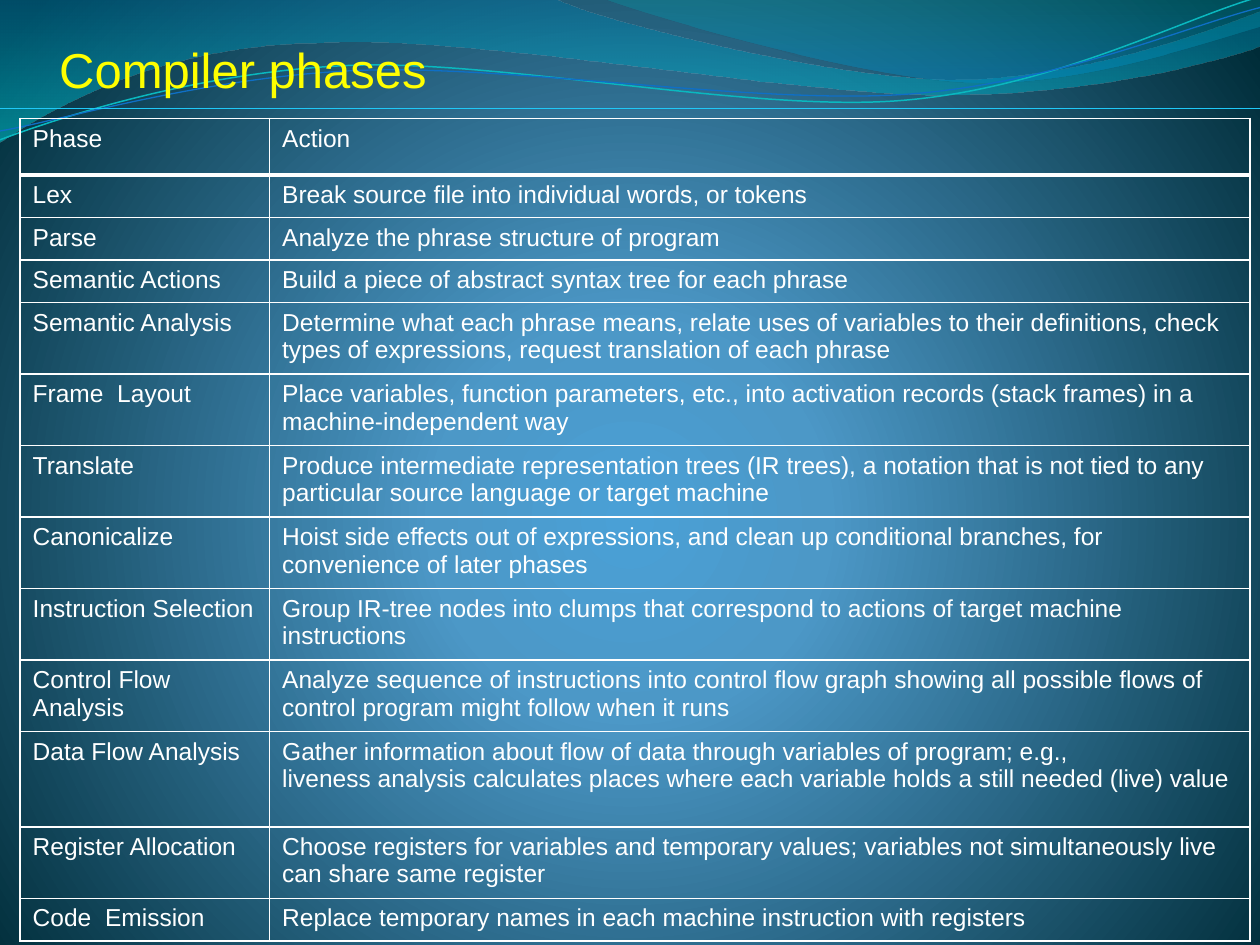
from lxml import etree
from pptx import Presentation
from pptx.dml.color import RGBColor
from pptx.enum.shapes import MSO_CONNECTOR
from pptx.enum.text import MSO_ANCHOR, PP_ALIGN
from pptx.oxml.ns import qn
from pptx.util import Inches, Pt

BOTTOM, TOP = MSO_ANCHOR.BOTTOM, MSO_ANCHOR.TOP
LEFT, JUSTIFY = PP_ALIGN.LEFT, PP_ALIGN.JUSTIFY
STRAIGHT = MSO_CONNECTOR.STRAIGHT
NS = 'xmlns:a="http://schemas.openxmlformats.org/drawingml/2006/main"'
DOWN = '<a:lin ang="5400000" scaled="0"/>'


def color(text):
    return RGBColor.from_string(text)


def grad(stops, shade):
    """Gradient fill from (position, colour, opacity) in percent."""
    marks = "".join(
        f'<a:gs pos="{pos * 1000}"><a:srgbClr val="{tone}">'
        f'<a:alpha val="{alpha * 1000}"/></a:srgbClr></a:gs>'
        for pos, tone, alpha in stops)
    return etree.fromstring(
        f'<a:gradFill {NS} rotWithShape="1"><a:gsLst>{marks}</a:gsLst>{shade}</a:gradFill>')


prs = Presentation()
prs.slide_width, prs.slide_height = Inches(10), Inches(7.5)
slide = prs.slides.add_slide(prs.slide_layouts[5])
shapes = slide.shapes

# Background
slide.background.fill.solid()
back = slide.element.find(".//" + qn("p:bgPr"))
back.replace(back[0], grad(
    [(0, "4AA0D6", 100), (25, "4C98C7", 100), (100, "002C38", 100)],
    '<a:path path="circle"><a:fillToRect l="10000" t="110000" r="10000" b="100000"/></a:path>'))

# Waves: start point, then straight (2 numbers) or curved (6 numbers) steps,
# then either gradient stops or a line colour and width
waves = [
    ((0, -0.01),
     [(4.4, -0.01), (4.76, 0.17, 6.64, 0.63, 7.58, 0.63),
      (8.53, 0.63, 9.58, 0.26, 10, 0.09), (10.01, 0.36),
      (9.83, 0.44, 8.7, 0.76, 7.46, 0.75), (6.22, 0.75, 3.82, 0.28, 2.57, 0.34),
      (1.29, 0.35, 0.46, 0.83, -0.01, 1.13), (0, -0.01)],
     [(0, "0074A1", 45), (100, "00C6CF", 55)], None),
    ((4.79, -0.01),
     [(5.09, 0.11, 6.82, 0.62, 7.69, 0.65), (8.56, 0.69, 9.61, 0.32, 10, 0.21),
      (10, 0), (4.79, -0.01)],
     [(0, "00A1A9", 30), (80, "008BBF", 45)], None),
    ((0, 1.11),
     [(0.48, 0.93, 1.58, 0.57, 2.77, 0.52), (3.95, 0.47, 5.93, 0.89, 7.13, 0.8),
      (8.33, 0.71, 9.38, 0.15, 9.98, -0.02)],
     None, ("0AB8BF", 0.85)),
    ((0, 1.04),
     [(0.47, 0.96, 1.64, 0.61, 2.83, 0.56), (4.03, 0.51, 5.97, 0.83, 7.17, 0.75),
      (8.36, 0.67, 9.41, 0.21, 10, 0.06)],
     None, ("0F6FC6", 0.75)),
]
for start, parts, stops, line in waves:
    dots = [(Inches(part[i]), Inches(part[i + 1]))
            for part in parts for i in range(0, len(part), 2)]
    pen = shapes.build_freeform(*map(Inches, start))
    pen.add_line_segments(dots, close=line is None)
    wave = pen.convert_to_shape()
    wave.shadow.inherit = False
    # Join each three points of a curved step into one Bezier curve
    steps = iter(list(wave.element.iter(qn("a:lnTo"))))
    for part in parts:
        group = [next(steps) for _ in range(len(part) // 2)]
        if len(group) == 3:
            curve = etree.Element(qn("a:cubicBezTo"))
            group[0].addprevious(curve)
            for step in group:
                curve.append(step[0])
                step.getparent().remove(step)
    wave.fill.background()
    if line:
        wave.line.color.rgb = color(line[0])
        wave.line.width = Pt(line[1])
    else:
        wave.line.fill.background()
        props = wave.element.spPr
        props.replace(props.find(qn("a:noFill")), grad(stops, DOWN))

# Table
rows = [
    ("Phase", "Action", 0.45),
    ("Lex", "Break source file into individual words, or tokens", 0.34),
    ("Parse", "Analyze the phrase structure of program", 0.34),
    ("Semantic Actions", "Build a piece of abstract syntax tree for each phrase", 0.34),
    ("Semantic Analysis", "Determine what each phrase means, relate uses of variables to their "
     "definitions, check types of expressions, request translation of each phrase", 0.57),
    ("Frame  Layout", "Place variables, function parameters, etc., into activation records "
     "(stack frames) in a machine-independent way", 0.57),
    ("Translate", "Produce intermediate representation trees (IR trees), a notation that is "
     "not tied to any particular source language or target machine", 0.57),
    ("Canonicalize", "Hoist side effects out of expressions, and clean up conditional "
     "branches, for convenience of later phases", 0.57),
    ("Instruction Selection", "Group IR-tree nodes into clumps that correspond to actions of "
     "target machine instructions", 0.57),
    ("Control Flow Analysis", "Analyze sequence of instructions into control flow graph "
     "showing all possible flows of control program might follow when it runs", 0.57),
    ("Data Flow Analysis", "Gather information about flow of data through variables of "
     "program; e.g.,\nliveness analysis calculates places where each variable holds a still "
     "needed (live) value", 0.76),
    ("Register Allocation", "Choose registers for variables and temporary values; variables "
     "not simultaneously live can share same register", 0.57),
    ("Code  Emission", "Replace temporary names in each machine instruction with registers",
     0.34),
]
TALL = 6.53
ratio = TALL / sum(row[2] for row in rows)
frame = shapes.add_table(len(rows), 2, Inches(0.16), Inches(0.94), Inches(9.76), Inches(TALL))
table = frame.table
table.first_row = table.horz_banding = False
for col, width in zip(table.columns, (1.98, 7.78)):
    col.width = Inches(width)
for r, (phase, action, height) in enumerate(rows):
    table.rows[r].height = Inches(height * ratio)
    for c, text in enumerate((phase, action)):
        cell = table.cell(r, c)
        cell.text = text
        cell.vertical_anchor = TOP
        cell.fill.background()
        for para in cell.text_frame.paragraphs:
            para.alignment = JUSTIFY if (r, c) == (0, 1) else LEFT
            font = para.runs[0].font
            font.name, font.size, font.bold = "Arial", Pt(14), False
            font.color.rgb = color("FFFFFF")
        # Cell borders, heavy below the header row
        props = cell._tc.get_or_add_tcPr()
        for i, side in enumerate("LRTB"):
            heavy = (r, side) in ((0, "B"), (1, "T"))
            props.insert(i, etree.fromstring(
                f'<a:ln{side} {NS} w="{Pt(3 if heavy else 1)}"><a:solidFill>'
                f'<a:srgbClr val="FFFFFF"/></a:solidFill></a:ln{side}>'))

# Title, in front of the waves
title = shapes.title
title.left, title.top, title.width, title.height = map(Inches, (0.47, 0.23, 9, 0.55))
box = title.text_frame
box.text = "Compiler phases"
box.vertical_anchor = BOTTOM
box.margin_left = box.margin_right = box.margin_bottom = 0
box.margin_top = Inches(0.05)
box.paragraphs[0].alignment = LEFT
font = box.paragraphs[0].runs[0].font
font.name, font.size = "Arial", Pt(28)
font.color.rgb = color("FFFF00")
shapes.element.append(title.element)

# Rule under the title
rule = shapes.add_connector(STRAIGHT, 0, Inches(0.86), Inches(10), Inches(0.86))
rule.line.color.rgb = color("20C9F8")
rule.line.width = Pt(0.75)
etree.SubElement(rule.element.spPr, qn("a:effectLst"))

prs.save("out.pptx")
